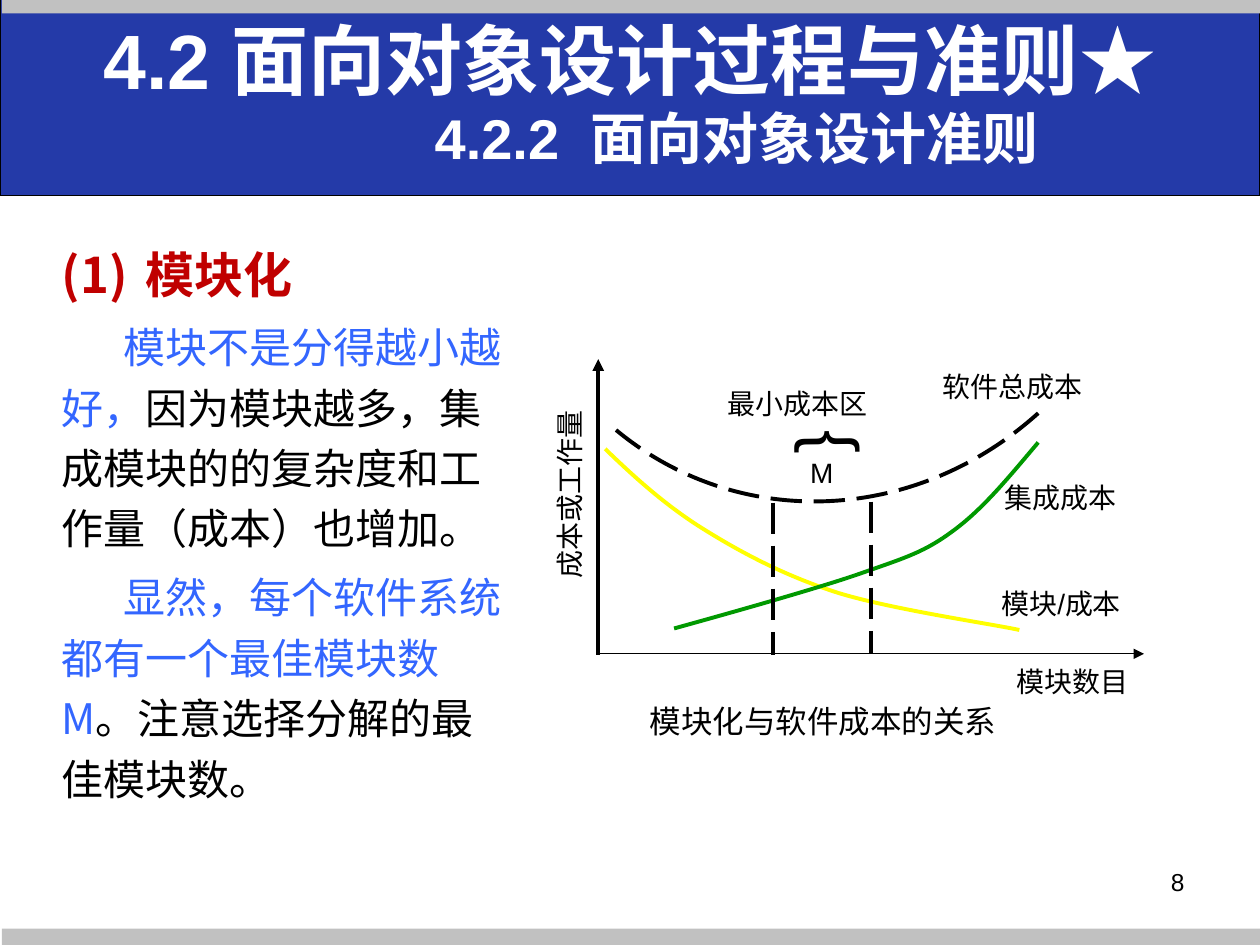
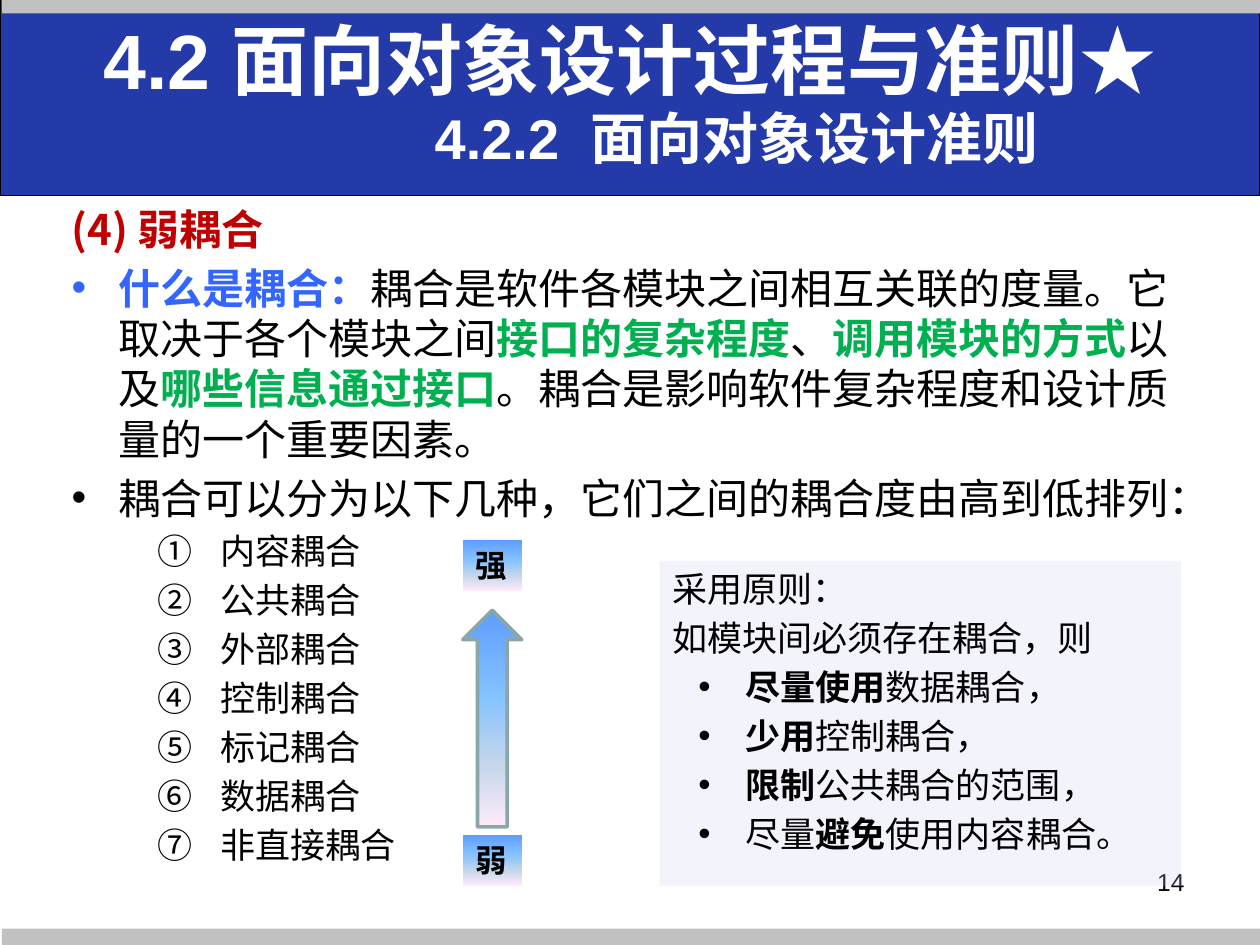
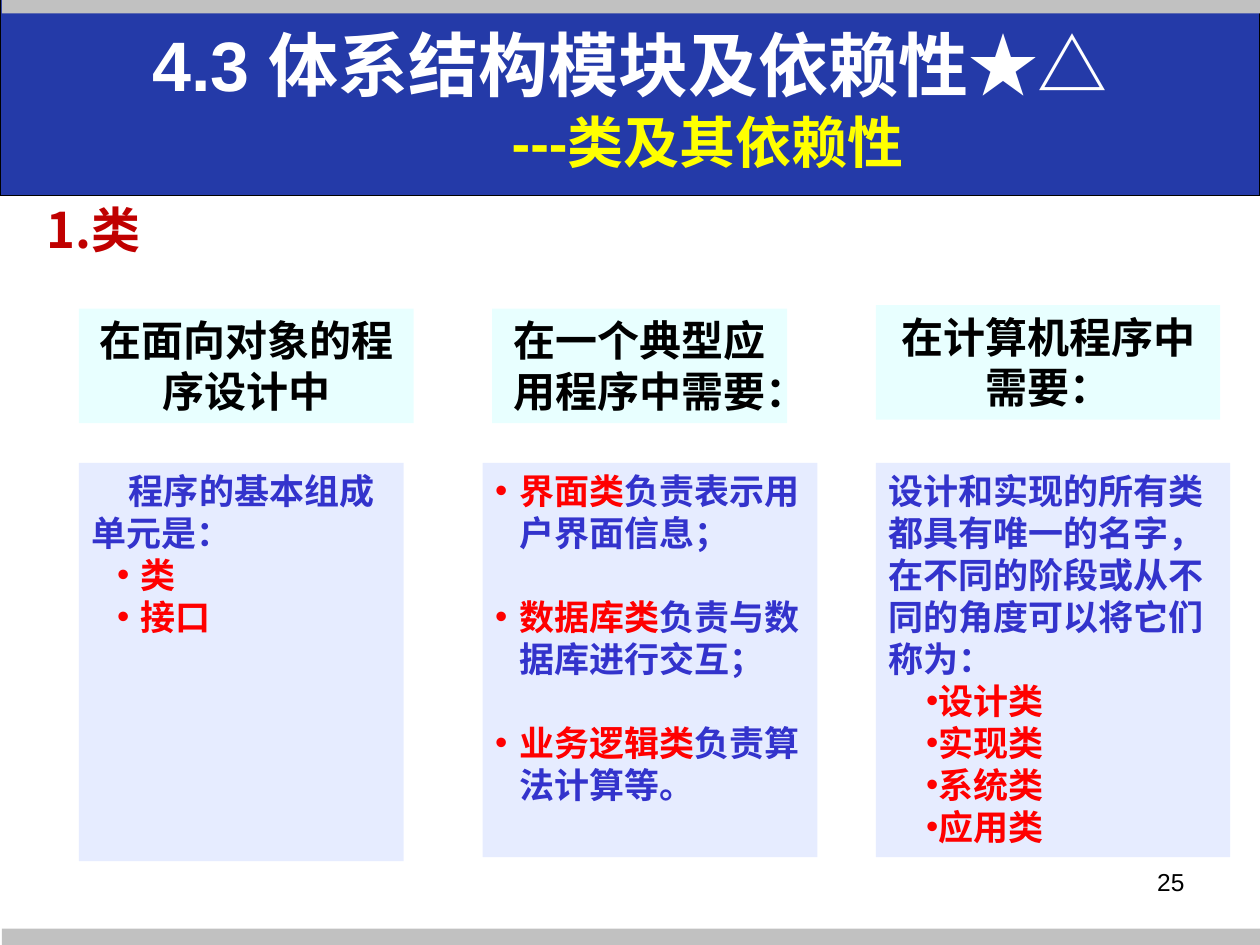
import pptx
import pptx.util
import pptx.dml.color
import pptx.enum.dml
import pptx.enum.shapes
import pptx.enum.text
import pptx.oxml.ns
import lxml.etree

Cm = pptx.util.Cm
Pt = pptx.util.Pt
RGB = pptx.dml.color.RGBColor
qn = pptx.oxml.ns.qn
Sub = lxml.etree.SubElement
Kind = pptx.enum.shapes.MSO_SHAPE
Align = pptx.enum.text.PP_ALIGN
Anchor = pptx.enum.text.MSO_ANCHOR
Dash = pptx.enum.dml.MSO_LINE

BLUE = RGB(0x24, 0x3A, 0xA8)
GREY = RGB(0xC1, 0xC1, 0xC1)
WHITE = RGB(0xFF, 0xFF, 0xFF)
BLACK = RGB(0, 0, 0)
DARK = RGB(0xC0, 0, 0)
RED = RGB(0xFF, 0, 0)
SKY = RGB(0x33, 0x66, 0xFF)
INK = RGB(0x33, 0x33, 0xCC)
LEAF = RGB(0, 0xB0, 0x50)
GREEN = RGB(0, 0x99, 0)
GOLD = RGB(0xFF, 0xFF, 0)
CYAN = RGB(0, 0xFF, 0xFF)
LILAC = RGB(0xCE, 0xCE, 0xEF)
EDGE = RGB(0x8A, 0xA6, 0xA8)
SANS = "Noto Sans CJK SC"
ARIAL = "Arial"


def lay(frame, rows, base=SANS):
    frame.word_wrap = True
    frame.auto_size = pptx.enum.text.MSO_AUTO_SIZE.NONE
    for i, (left, first, mark, size, runs) in enumerate(rows):
        para = frame.add_paragraph() if i else frame.paragraphs[0]
        prop = para._p.get_or_add_pPr()
        prop.set("marL", str(Cm(left)))
        prop.set("indent", str(Cm(first)))
        if not mark:
            Sub(prop, qn("a:buNone"))
        elif mark == "•":
            Sub(prop, qn("a:buFont"), typeface=ARIAL)
            Sub(prop, qn("a:buChar"), char=mark)
        else:
            Sub(prop, qn("a:buAutoNum"), type=mark)
        for text, color, bold, *face in runs:
            run = para.add_run()
            run.text = text
            run.font.size = Pt(size)
            run.font.bold = bold
            run.font.color.rgb = color
            run.font.name = face[0] if face else base
            look = run._r.get_or_add_rPr()
            look.set("lang", "zh-CN")
            Sub(look, qn("a:ea"), typeface=SANS)


def panel(shapes, area, color, alpha=100):
    box = shapes.add_shape(Kind.RECTANGLE, *map(Cm, area))
    box.shadow.inherit = False
    box.line.fill.background()
    box.fill.solid()
    box.fill.fore_color.rgb = color
    if alpha < 100:
        tint = box.element.spPr.find(qn("a:solidFill"))[0]
        Sub(tint, qn("a:alpha"), val=str(alpha * 1000))
    box.text_frame.vertical_anchor = Anchor.TOP
    return box


deck = pptx.Presentation()
deck.slide_width = Cm(25.4)
deck.slide_height = Cm(19.05)

design = [
    (0, 0, None, 44, [("4.2 面向对象设计过程与准则", WHITE, True), ("★", WHITE, True, SANS)]),
    (4.31, 0, None, 32, [("4.2.2  面向对象设计准则", WHITE, True)]),
]
module = [
    (0, 0, None, 40, [("4.3 体系结构模块及依赖性", WHITE, True), ("★△", WHITE, True, SANS)]),
    (3.14, 0, None, 32, [("---类及其依赖性", GOLD, True)]),
]
pages = [
    (1, "8", design, (40, 37.5)),
    (1, "14", design, (40, 37.5)),
    (5, "25", module, (40, 40)),
]
for style, number, title, pitch in pages:
    slide = deck.slides.add_slide(deck.slide_layouts[style])
    head = slide.shapes.title
    head.left, head.top, head.width, head.height = map(Cm, (1.27, 0.58, 22.86, 3.18))
    head.text_frame.vertical_anchor = Anchor.TOP
    lay(head.text_frame, title, ARIAL)
    for para, step in zip(head.text_frame.paragraphs, pitch):
        para.alignment = Align.CENTER
        para.line_spacing = Pt(step)
    page = slide.shapes.add_textbox(*map(Cm, (18.21, 17.35, 5.92, 1.32)))
    lay(page.text_frame, [(0, 0, None, 14, [(number, BLACK, False)])], ARIAL)
    page.text_frame.paragraphs[0].alignment = Align.RIGHT

cost, link, types = deck.slides

bands = [
    ((0, -0.05, 25.4, 3.99), BLUE),
    ((0.04, 18.72, 25.36, 0.33), GREY),
    ((0.04, -0.03, 25.36, 0.3), GREY),
]
for i, (area, color) in enumerate(bands):
    band = panel(cost.shapes, area, color)
    if color == BLUE:
        band.line.color.rgb = BLACK
        band.line.width = Pt(0.75)
    deck.slide_master.shapes.element.insert(2 + i, band.element)

body = cost.placeholders[1]
body.left, body.top, body.width, body.height = map(Cm, (0.99, 4.56, 9.53, 13.11))
lay(body.text_frame, [
    (1.69, -1.69, "arabicParenBoth", 28, [("模块化", DARK, True)]),
    (0, 1.24, None, 24, [
        ("模块不是分得越小越好，", SKY, False),
        ("因为模块越多，集成模块的的复杂度和工作量（成本）也增加。", BLACK, False)]),
    (0, 1.24, None, 24, [
        ("显然，每个软件系统都有一个最佳模块数M", SKY, False),
        ("。注意选择分解的最佳模块数。", BLACK, False)]),
])
for para in body.text_frame.paragraphs:
    para.line_spacing = 1.2

curves = [
    (BLACK, Dash.LONG_DASH, [
        (20.93, 8.33), (18.42, 10.59), (14.86, 10.69), (12.42, 8.67)]),
    (GOLD, None, [
        (12.2, 9.05), (12.8, 9.63), (13.44, 10.21), (14.22, 10.69),
        (15.01, 11.18), (15.88, 11.63), (16.92, 11.96),
        (18.01, 12.29), (19.94, 12.57), (20.55, 12.7)]),
    (GREEN, None, [
        (20.93, 8.92), (20.37, 9.58), (19.84, 10.24), (19.23, 10.69),
        (18.64, 11.13), (18.29, 11.23), (17.35, 11.56),
        (16.41, 11.89), (14.2, 12.5), (13.59, 12.67)]),
]
for color, dash, knots in curves:
    pen = cost.shapes.build_freeform(*map(Cm, knots[0]))
    pen.add_line_segments([tuple(map(Cm, knot)) for knot in knots[1:]], close=False)
    curve = pen.convert_to_shape()
    curve.shadow.inherit = False
    curve.fill.background()
    curve.line.color.rgb = color
    curve.line.width = Pt(2.25)
    curve.line.dash_style = dash
    legs = list(curve.element.iter(qn("a:lnTo")))
    for k in range(0, len(legs), 3):
        bend = Sub(legs[k].getparent(), qn("a:cubicBezTo"))
        for leg in legs[k:k + 3]:
            bend.append(leg[0])
            leg.getparent().remove(leg)

lines = [
    ((12.06, 13.2, 12.06, 7.24), 2.25, None),
    ((12.06, 13.18, 23.06, 13.18), 0.75, None),
    ((15.58, 10.13, 15.58, 13.2), 2.25, Dash.LONG_DASH),
    ((17.56, 10.11, 17.56, 13.18), 2.25, Dash.LONG_DASH),
]
for ends, width, dash in lines:
    line = cost.shapes.add_connector(
        pptx.enum.shapes.MSO_CONNECTOR.STRAIGHT, *map(Cm, ends))
    line.line.color.rgb = BLACK
    line.line.width = Pt(width)
    line.line.dash_style = dash
    if not dash:
        Sub(line.line._get_or_add_ln(), qn("a:tailEnd"), type="triangle")
    Sub(line.element.spPr, qn("a:effectLst"))

labels = [
    ("软件总成本", 16, (18.75, 7.33, 4.04, 0.94), 0, "horz"),
    ("模块化与软件成本的关系", 18, (12.85, 14.02, 9.2, 1.02), 0, "horz"),
    ("模块数目", 16, (20.24, 13.27, 2.97, 0.94), 0, "horz"),
    ("模块/成本", 16, (19.94, 11.7, 3.12, 0.94), 0, "horz"),
    ("集成成本", 16, (20.01, 9.57, 2.97, 0.94), 0, "horz"),
    ("}", 40, (15.75, 7.7, 1.45, 1.96), 269.3, "horz"),
    ("最小成本区", 16, (14.42, 7.67, 4.14, 0.94), 0, "horz"),
    ("M", 16, (16.08, 9.05, 1.3, 0.94), 0, "horz"),
    ("成本或工作量", 16, (11.01, 7.74, 1.19, 4.17), 0, "vert270"),
]
for text, size, area, turn, flow in labels:
    label = cost.shapes.add_textbox(*map(Cm, area))
    label.rotation = turn
    label.text_frame._txBody.bodyPr.set("vert", flow)
    lay(label.text_frame, [(0, 0, None, size, [(text, BLACK, False)])], ARIAL)

body = link.placeholders[1]
body.left, body.top, body.width, body.height = map(Cm, (1.19, 3.97, 22.86, 14.3))
names = ["内容耦合", "公共耦合", "外部耦合", "控制耦合", "标记耦合", "数据耦合", "非直接耦合"]
lay(body.text_frame, [
    (0.95, -0.95, None, 24, [("(4) 弱耦合", DARK, True)]),
    (0.95, -0.95, "•", 24, [
        ("什么是耦合：", SKY, True),
        ("耦合是软件各模块之间相互关联的度量。它取决于各个模块之间", BLACK, False),
        ("接口的复杂程度", LEAF, True),
        ("、", BLACK, False),
        ("调用模块的方式", LEAF, True),
        ("以及", BLACK, False),
        ("哪些信息通过接口", LEAF, True),
        ("。耦合是影响软件复杂程度和设计质量的一个重要因素。", BLACK, False)]),
    (0.95, -0.95, "•", 24, [
        ("耦合可以分为以下几种，它们之间的耦合度由高到低排列：", BLACK, False)]),
] + [(3, -1.27, "circleNumDbPlain", 20, [(name, BLACK, False)]) for name in names])

arrow = link.shapes.add_shape(Kind.UP_ARROW, *map(Cm, (9.33, 12.3, 1.19, 4.37)))
arrow.shadow.inherit = False
arrow.line.color.rgb = EDGE
arrow.line.width = Pt(2)
scale = [arrow]
for text, top in [("弱", 16.83), ("强", 10.89)]:
    tag = panel(link.shapes, (9.33, top, 1.19, 1.02), SKY)
    lay(tag.text_frame, [(0, 0, None, 18, [(text, BLACK, True)])])
    tag.text_frame.paragraphs[0].alignment = Align.LEFT
    scale.append(tag)
for item in scale:
    item.fill.gradient()
    item.fill.gradient_angle = 270
    stops = item.element.spPr.find(qn("a:gradFill")).find(qn("a:gsLst"))
    for stop in list(stops):
        stops.remove(stop)
    for spot, shade in [(0, "5E9EFF"), (40, "85C2FF"), (70, "C4D6EB"), (100, "FFEBFA")]:
        stop = Sub(stops, qn("a:gs"), pos=str(spot * 1000))
        Sub(stop, qn("a:srgbClr"), val=shade)

rules = panel(link.shapes, (13.3, 11.31, 10.51, 6.55), LILAC, 23)
rules.text_frame.margin_right = 0
lay(rules.text_frame, [
    (0.95, -0.95, None, 20, [("采用原则：", BLACK, False)]),
    (0.95, -0.95, None, 20, [("如模块间必须存在耦合，则", BLACK, False)]),
    (1.48, -0.95, "•", 20, [("尽量使用", BLACK, True), ("数据耦合，", BLACK, False)]),
    (1.48, -0.95, "•", 20, [("少用", BLACK, True), ("控制耦合，", BLACK, False)]),
    (1.48, -0.95, "•", 20, [("限制", BLACK, True), ("公共耦合的范围，", BLACK, False)]),
    (1.48, -0.95, "•", 20, [
        ("尽量", BLACK, False), ("避免", BLACK, True), ("使用内容耦合。", BLACK, False)]),
])
for para in rules.text_frame.paragraphs:
    para.alignment = Align.LEFT
    para.space_before = Pt(4)

topic = types.shapes.add_textbox(*map(Cm, (0.21, 3.9, 22.4, 1.45)))
lay(topic.text_frame, [(0, 0.48, None, 28, [("1.类", DARK, True)])])

cards = [
    ("在面向对象的程序设计中", (1.59, 6.22, 6.75, 2.31), (1.59, 9.33, 6.55, 8.03), 0, [
        (0, 0.76, None, 20, [("程序的基本组成单元是：", INK, True)]),
    ] + [(1, -0.48, "•", 20, [(name, RED, True)]) for name in ("类", "接口")]),
    ("在一个典型应用程序中需要：", (9.92, 6.22, 5.95, 2.31), (9.73, 9.33, 6.75, 7.95), 24, [
        (0.49, -0.49, "•", 20, [(name, RED, True), (duty, INK, True)])
        for name, duty in [
            ("界面类", "负责表示用户界面信息；"),
            ("数据库类", "负责与数据库进行交互；"),
            ("业务逻辑类", "负责算法计算等。")]]),
    ("在计算机程序中需要：", (17.66, 6.15, 6.94, 2.31), (17.66, 9.33, 7.14, 7.95), 0, [
        (0, 0, None, 20, [
            ("设计和实现的所有类都具有唯一的名字，在不同的阶段或从不同的角度可以将它们称为：",
             INK, True)]),
    ] + [(0.23, 0.53, "•", 20, [(name, RED, True)])
         for name in ("设计类", "实现类", "系统类", "应用类")]),
]
for text, top, area, gap, rows in cards:
    head = panel(types.shapes, top, CYAN, 9)
    lay(head.text_frame, [(0, 0, None, 24, [(text, BLACK, True)])])
    head.text_frame.paragraphs[0].alignment = Align.CENTER
    card = panel(types.shapes, area, SKY, 12)
    lay(card.text_frame, rows)
    for i, para in enumerate(card.text_frame.paragraphs):
        para.alignment = Align.LEFT
        para.space_before = Pt(gap if i else 0)

deck.save("out.pptx")
